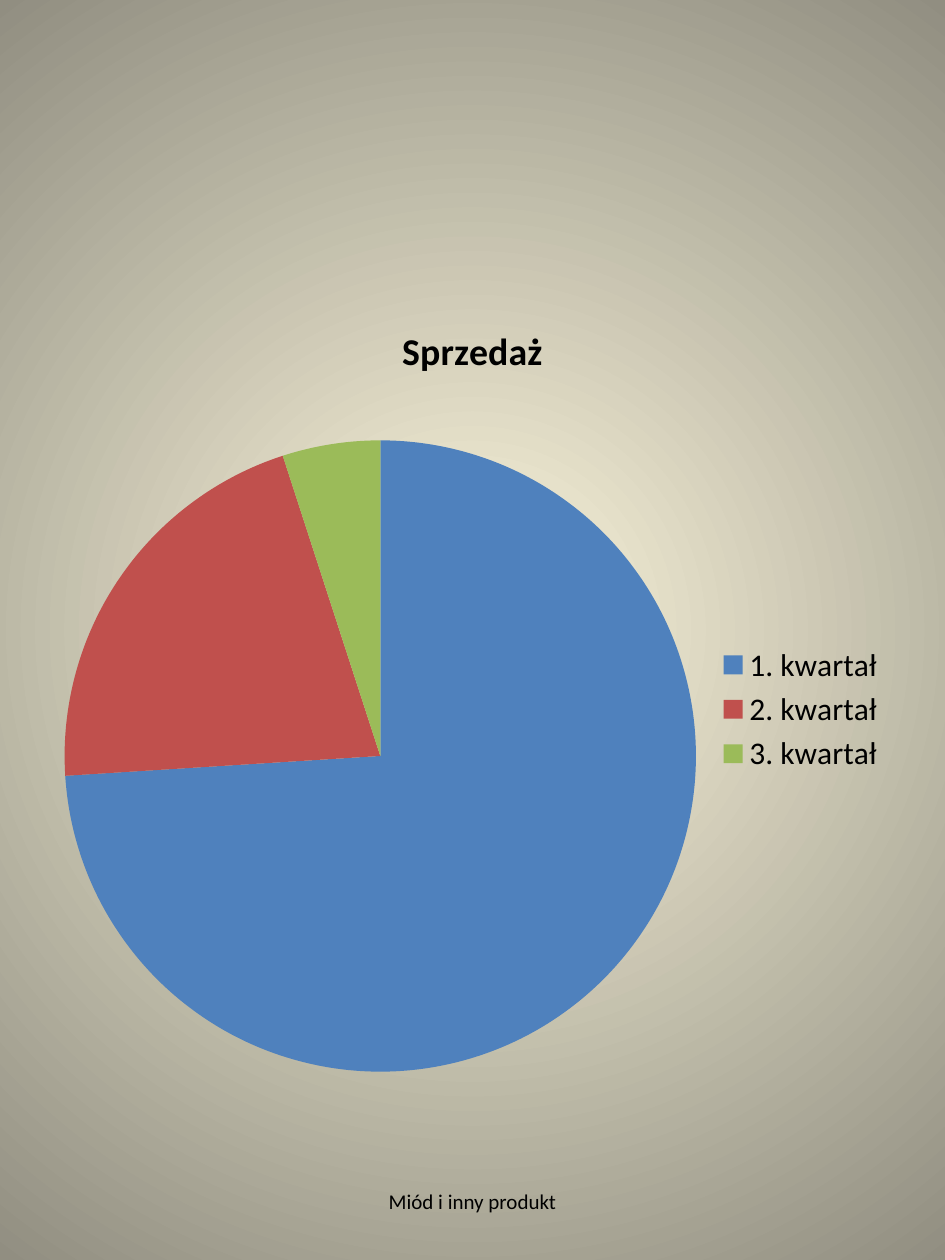
"""Build a portrait slide with a quarterly sales pie chart and a footer."""
from lxml import etree
from pptx import Presentation
from pptx import util as u
from pptx.chart.data import CategoryChartData
from pptx.dml.color import RGBColor
from pptx.enum import chart as charts, text
from pptx.oxml.ns import qn

TITLE = "Sprzedaż"
FOOTER = "Miód i inny produkt"
SALES = {"1. kwartał": 74, "2. kwartał": 21, "3. kwartał": 5}
THEME = {
    "font": "Calibri", "ink": "000000",
    "title": 21.6, "legend": 18, "footer": 12,
    "slices": ["4F81BD", "C0504D", "9BBB59"],
    "glow": ["FCF7DD", "918E81"],
}
WIDTH, HEIGHT = 7.5, 10


def style(font, size, bold=False):
    """Apply the theme's font and ink."""
    font.name, font.size, font.bold = THEME["font"], u.Pt(size), bold
    font.color.rgb = RGBColor.from_string(THEME["ink"])


def write(frame, words, size, bold=False):
    """Put one centred line of formatted text in a frame."""
    para = frame.paragraphs[0]
    para.alignment = text.PP_ALIGN.CENTER
    span = para.add_run()
    span.text = words
    style(span.font, size, bold)


def centred(width, top, height):
    """Return a box centred across the slide."""
    return [u.Inches(n) for n in ((WIDTH - width) / 2, top, width, height)]


def paint_background(page):
    """Fill the page with a circular gradient."""
    fill = page.background.fill
    fill.gradient()
    for stop, color, place in zip(fill.gradient_stops, THEME["glow"], (0, 1)):
        stop.color.rgb = RGBColor.from_string(color)
        stop.position = place
    gradient = page.background._cSld.find(".//" + qn("a:gradFill"))
    gradient.remove(gradient.find(qn("a:lin")))
    circle = etree.Element(qn("a:path"), path="circle")
    etree.SubElement(circle, qn("a:fillToRect"),
                     {side: "50000" for side in "ltrb"})
    gradient.find(qn("a:gsLst")).addnext(circle)


def add_pie(page):
    """Add the sales pie with its title and legend."""
    data = CategoryChartData()
    data.categories = list(SALES)
    data.add_series(TITLE, list(SALES.values()))
    pie = page.shapes.add_chart(charts.XL_CHART_TYPE.PIE,
                                *centred(6.75, 2.33, 6.6), data).chart
    style(pie.font, THEME["legend"])
    pie.has_title = True
    write(pie.chart_title.text_frame, TITLE, THEME["title"], bold=True)
    pie.chart_title.include_in_layout = False
    pie.has_legend = True
    pie.legend.position = charts.XL_LEGEND_POSITION.RIGHT
    pie.legend.include_in_layout = False
    plot = pie.plots[0]
    plot.vary_by_categories = True
    for index, color in enumerate(THEME["slices"]):
        fill = plot.series[0].points[index].format.fill
        fill.solid()
        fill.fore_color.rgb = RGBColor.from_string(color)


def add_footer(page):
    """Add the centred footer line."""
    frame = page.shapes.add_textbox(*centred(2.38, 9.27, 0.53)).text_frame
    frame.word_wrap = True
    frame.vertical_anchor = text.MSO_ANCHOR.MIDDLE
    write(frame, FOOTER, THEME["footer"])


deck = Presentation()
deck.slide_width, deck.slide_height = u.Inches(WIDTH), u.Inches(HEIGHT)
page = deck.slides.add_slide(deck.slide_layouts[6])
paint_background(page)
add_pie(page)
add_footer(page)
deck.save("out.pptx")
